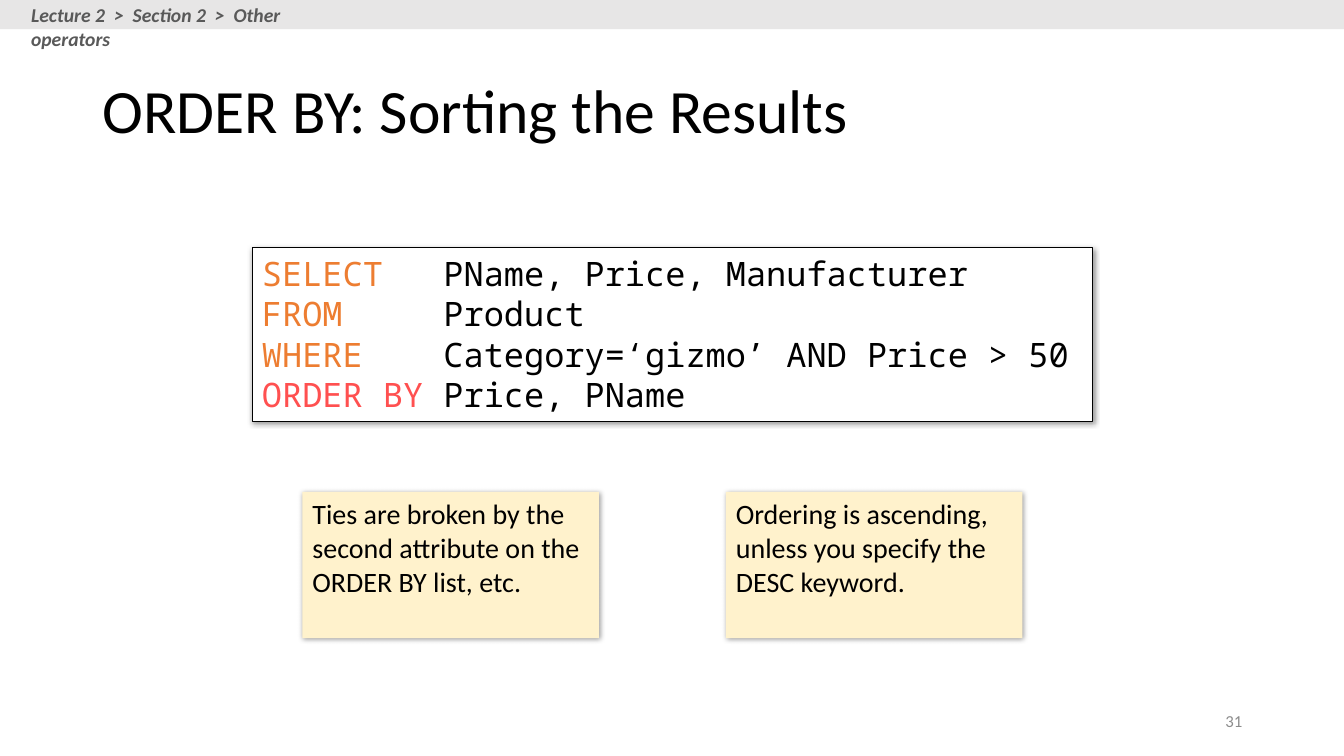
from lxml.etree import SubElement as Sub
from pptx import Presentation
from pptx.dml.color import RGBColor as RGB
from pptx.enum.shapes import MSO_SHAPE as Shape
from pptx.enum.text import MSO_ANCHOR as Anchor, PP_ALIGN as Align
from pptx.oxml.ns import qn
from pptx.util import Inches, Pt

HUES = {"ink": "000000", "paper": "FFFFFF", "bar": "E7E6E6", "path": "595959",
        "key": "ED7D31", "sort": "FF5050", "note": "FFF2CC", "page": "8C8C8C"}
SANS, MONO = "Calibri", "Noto Sans Mono"
QUERY = [
    [("SELECT   ", "key"), ("PName, Price, Manufacturer", "ink")],
    [("FROM", "key"), ("     Product", "ink")],
    [("WHERE   ", "key"), (" Category=‘gizmo’ AND Price > 50", "ink")],
    [("ORDER BY", "sort"), (" Price, PName", "ink")],
]
NOTES = ["Ties are broken by the second attribute on the ORDER BY list, etc.",
         "Ordering is ascending, unless you specify the DESC keyword."]


def hue(name):
    """Return the named colour."""
    return RGB.from_string(HUES[name])


def write(shape, lines, size, face=SANS, anchor=Anchor.TOP, align=Align.LEFT,
          space=1.0, strong=False):
    """Fill a shape with lines made of (text, colour) runs."""
    frame = shape.text_frame
    frame.word_wrap = True
    frame.vertical_anchor = anchor
    for i, line in enumerate(lines):
        para = frame.add_paragraph() if i else frame.paragraphs[0]
        para.alignment, para.line_spacing = align, space
        for text, name in line:
            run = para.add_run()
            run.text = text
            font = run.font
            font.name, font.size = face, Pt(size)
            font.bold = font.italic = strong
            font.color.rgb = hue(name)


def text_box(slide, box, lines, size, **style):
    """Add a text box holding the given lines."""
    label = slide.shapes.add_textbox(*map(Inches, box))
    write(label, lines, size, **style)


def panel(slide, box, fill, edge=None):
    """Add a filled rectangle, with an outline if an edge colour is given."""
    rect = slide.shapes.add_shape(Shape.RECTANGLE, *map(Inches, box))
    rect.shadow.inherit = False
    rect.fill.solid()
    rect.fill.fore_color.rgb = hue(fill)
    if edge:
        rect.line.color.rgb = hue(edge)
        rect.line.width = Pt(0.75)
    else:
        rect.line.fill.background()
    return rect


def shade(shape):
    """Give a shape a soft shadow towards the lower right."""
    effects = shape.element.spPr.find(qn("a:effectLst"))
    outer = Sub(effects, qn("a:outerShdw"), blurRad=str(Pt(4)), dist=str(Pt(1)),
                dir="2700000", algn="tl", rotWithShape="0")
    color = Sub(outer, qn("a:srgbClr"), val=HUES["ink"])
    Sub(color, qn("a:alpha"), val="40000")


def header(slide, box):
    """Draw the top bar with the lecture trail."""
    left, top, width, height = box
    panel(slide, box, "bar")
    trail = [[("Lecture 2  >  Section 2  >  Other operators", "path")]]
    text_box(slide, (left + 0.21, top - 0.02, 3.45, 0.34), trail, 14, strong=True)


def code(slide, box):
    """Draw the framed query."""
    rect = panel(slide, box, "paper", "ink")
    shade(rect)
    write(rect, QUERY, 24, face=MONO)


def notes(slide, box):
    """Draw the notes, the outer ones flush with the sides of the box."""
    left, top, width, height = box
    wide = 2.94
    step = (width - wide) / (len(NOTES) - 1)
    for i, text in enumerate(NOTES):
        card = panel(slide, (left + i * step, top, wide, height), "note")
        shade(card)
        write(card, [[(text, "ink")]], 20)


def main():
    """Build and save the slide."""
    deck = Presentation()
    deck.slide_width, deck.slide_height = Inches(13.33), Inches(7.5)
    slide = deck.slides.add_slide(deck.slide_layouts[6])
    header(slide, (0, 0, 13.33, 0.29))
    text_box(slide, (0.92, 0.4, 11.5, 1.45),
             [[("ORDER BY: Sorting the Results", "ink")]], 44,
             anchor=Anchor.MIDDLE, space=0.9)
    code(slide, (2.5, 2.46, 8.34, 1.72))
    notes(slide, (3, 4.88, 7.14, 1.45))
    text_box(slide, (9.42, 6.95, 3, 0.4), [[("31", "page")]], 12,
             anchor=Anchor.MIDDLE, align=Align.RIGHT)
    deck.save("out.pptx")


if __name__ == "__main__":
    main()
